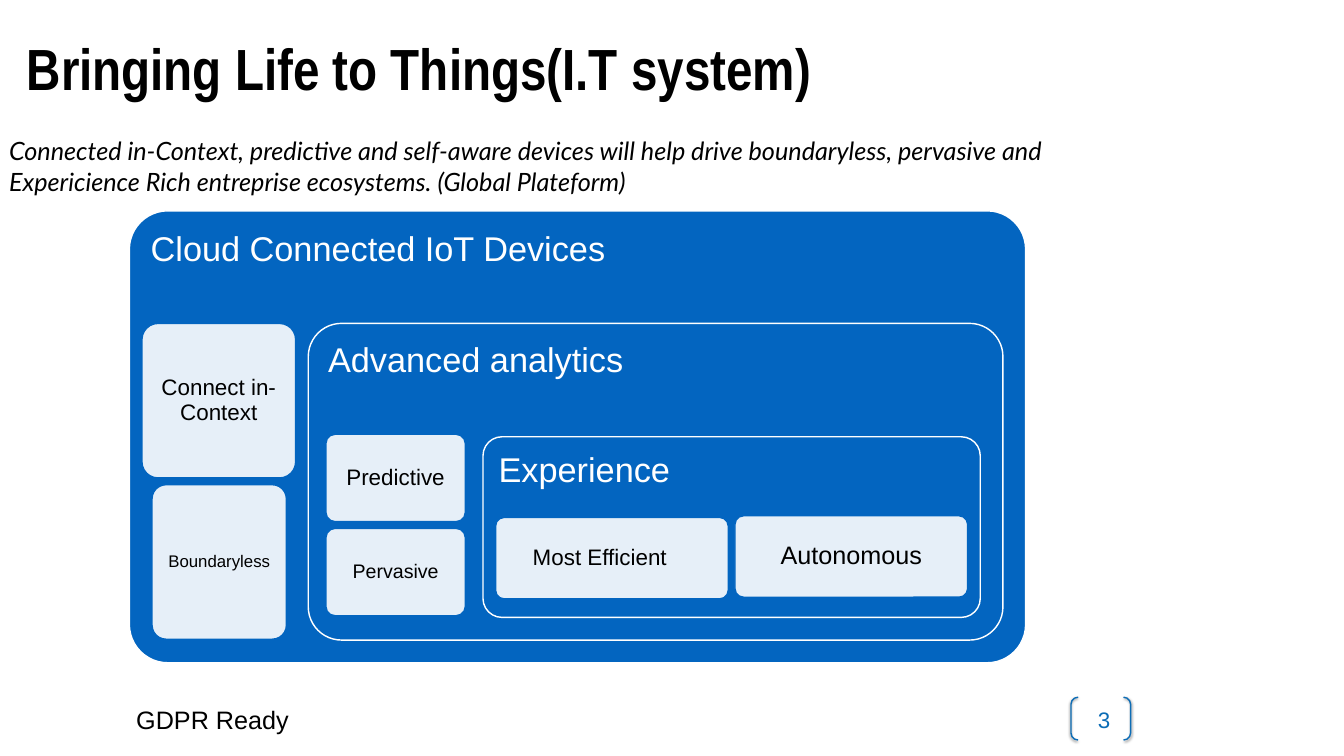
from dataclasses import dataclass
from lxml.etree import SubElement
from pptx import Presentation
from pptx.dml.color import RGBColor
from pptx.enum.shapes import MSO_SHAPE as Shape
from pptx.enum.text import MSO_ANCHOR as Anchor, PP_ALIGN as Align
from pptx.oxml.ns import qn
from pptx.util import Inches, Pt

WIDE, HIGH = 26.67, 15
COLS, ROWS = 160, 90
BLUE, WHITE, BLACK, INK = "0365C0", "FFFFFF", "000000", "0D6DB6"


@dataclass(frozen=True)
class Area:
    """A place on the slide, in grid columns and rows."""
    col: float
    row: float
    cols: float
    rows: float

    def place(self) -> tuple:
        wide, high = WIDE / COLS, HIGH / ROWS
        return (Inches(self.col * wide), Inches(self.row * high),
                Inches(self.cols * wide), Inches(self.rows * high))


@dataclass(frozen=True)
class Panel:
    text: str
    area: Area
    round: float = 0.105


@dataclass(frozen=True)
class Card:
    text: str
    area: Area
    size: float
    pad: float = 0.13
    right: float = 0.13


PANELS = [
    Panel("Cloud Connected IoT Devices", Area(15.4, 25.1, 106.7, 53.8), 0.085),
    Panel("Advanced analytics", Area(36.7, 38.5, 82.7, 37.7)),
    Panel("Experience", Area(57.5, 52, 59.2, 21.5)),
]
CARDS = [
    Card("Connect in-Context", Area(16.9, 38.5, 18.3, 18.4), 32),
    Card("Boundaryless", Area(18.1, 57.7, 16, 18.4), 24, 0.1, 0.1),
    Card("Predictive", Area(38.8, 51.7, 16.6, 10.4), 32),
    Card("Pervasive", Area(38.8, 62.9, 16.6, 10.4), 28),
    Card("Most Efficient", Area(59, 61.6, 27.7, 9.7), 32, right=0.61),
    Card("Autonomous", Area(87.5, 61.4, 27.7, 9.7), 36),
]


def tint(code: str) -> RGBColor:
    return RGBColor.from_string(code)


def write(shape, text: str, *, size: float, color: str = BLACK,
          font: str = "Arial", bold: bool = False, italic: bool = False,
          align=Align.LEFT, anchor=Anchor.MIDDLE, pad: float = 0.08,
          right: float | None = None, lead: float = 1.0,
          wrap: bool = True) -> None:
    frame = shape.text_frame
    frame.word_wrap = wrap
    frame.vertical_anchor = anchor
    frame.margin_left = frame.margin_top = frame.margin_bottom = Inches(pad)
    frame.margin_right = Inches(pad if right is None else right)
    para = frame.paragraphs[0]
    para.alignment, para.line_spacing = align, lead
    run = para.add_run()
    run.text = text
    face = run.font
    face.name, face.size = font, Pt(size)
    face.bold, face.italic = bold, italic
    face.color.rgb = tint(color)


def label(slide, text: str, area: Area, **style) -> None:
    write(slide.shapes.add_textbox(*area.place()), text, **style)


def block(slide, area: Area, bend: float, fill: str, line: str):
    shape = slide.shapes.add_shape(Shape.ROUNDED_RECTANGLE, *area.place())
    shape.shadow.inherit = False
    shape.adjustments[0] = bend
    shape.fill.solid()
    shape.fill.fore_color.rgb = tint(fill)
    shape.line.color.rgb = tint(line)
    shape.line.width = Pt(2)
    return shape


def fade(shape, share: int) -> None:
    """Set the opacity of a solid fill, in percent."""
    color = shape.fill._xPr.find(qn("a:solidFill"))[0]
    SubElement(color, qn("a:alpha"), val=str(share * 1000))


def draw_panel(slide, panel: Panel) -> None:
    shape = block(slide, panel.area, panel.round, BLUE, WHITE)
    write(shape, panel.text, size=49, color=WHITE, anchor=Anchor.TOP,
          pad=0.2, lead=0.9)


def draw_card(slide, card: Card) -> None:
    shape = block(slide, card.area, 0.105, WHITE, BLUE)
    fade(shape, 90)
    write(shape, card.text, size=card.size, align=Align.CENTER,
          pad=card.pad, right=card.right, lead=0.9)


def draw_frame(slide, area: Area) -> None:
    """Draw the brackets round the page number, with a soft shadow."""
    shape = slide.shapes.add_shape(Shape.DOUBLE_BRACKET, *area.place())
    shape.shadow.inherit = False
    shape.fill.background()
    shape.line.color.rgb = tint(INK)
    shape.line.width = Pt(2)
    effects = shape._element.spPr.find(qn("a:effectLst"))
    shade = SubElement(effects, qn("a:outerShdw"), blurRad=str(Pt(4)),
                       dist=str(Pt(2)), dir="5400000", rotWithShape="0")
    color = SubElement(shade, qn("a:srgbClr"), val=BLACK)
    SubElement(color, qn("a:alpha"), val="50000")


def main() -> None:
    deck = Presentation()
    deck.slide_width, deck.slide_height = Inches(WIDE), Inches(HIGH)
    slide = deck.slides.add_slide(deck.slide_layouts[6])

    label(slide, "Bringing Life to Things(I.T system)",
          Area(2.7, 0, 102.4, 16), size=82.9, font="Arial Narrow", bold=True)
    label(slide, "3", Area(130.2, 83.6, 2.5, 4.2), size=32, color=INK,
          align=Align.CENTER, anchor=Anchor.TOP, wrap=False)
    draw_frame(slide, Area(127.5, 83, 7.1, 5.1))
    label(slide, "Connected in-Context, predictive and self-aware devices "
          "will help drive boundaryless, pervasive and Expericience Rich "
          "entreprise ecosystems. (Global Plateform)",
          Area(0.6, 12.8, 130.8, 13.9), size=36, font="Lato", italic=True)

    for panel in PANELS:
        draw_panel(slide, panel)
    for card in CARDS:
        draw_card(slide, card)

    label(slide, "GDPR Ready", Area(0, 83.4, 50.6, 4.6), size=36,
          align=Align.CENTER)
    deck.save("out.pptx")


if __name__ == "__main__":
    main()
